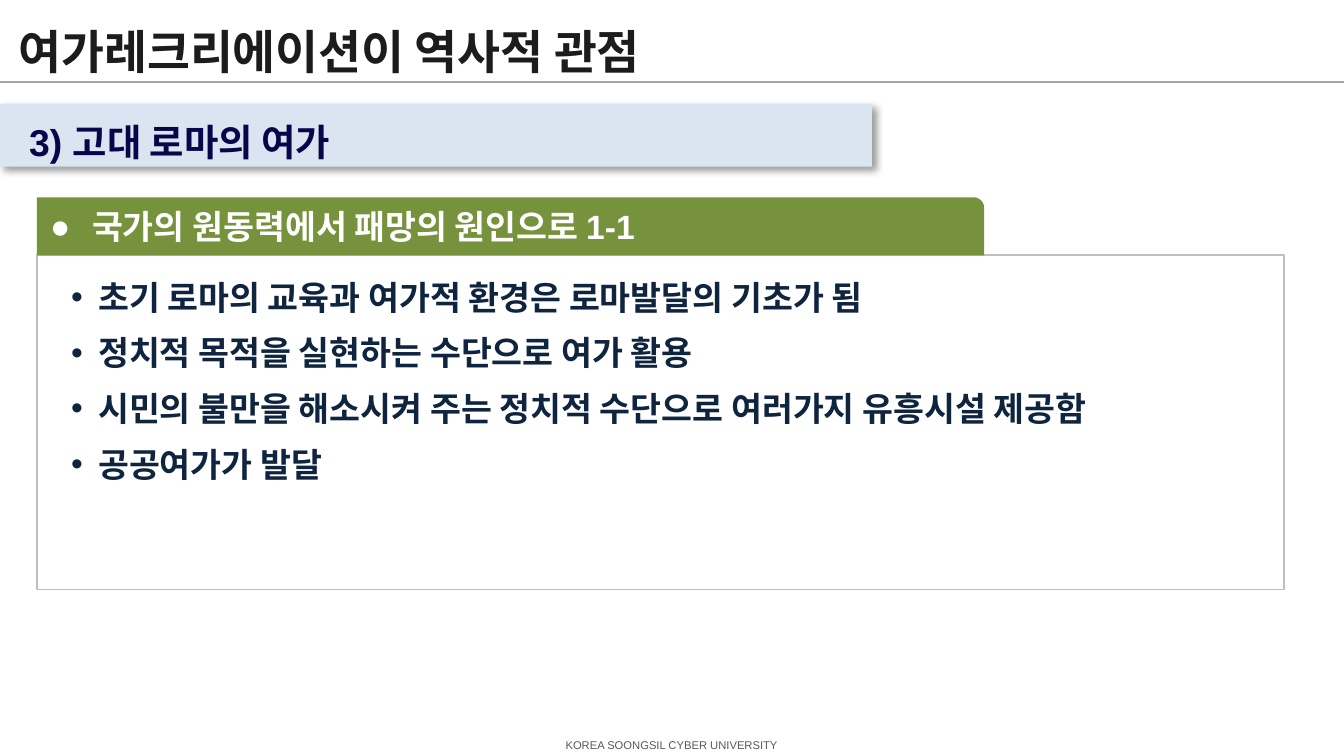
"""Build the slide on leisure in ancient Rome."""
from lxml.etree import SubElement
from pptx import Presentation
from pptx.dml.color import RGBColor
from pptx.enum.shapes import MSO_CONNECTOR, MSO_SHAPE
from pptx.enum.text import MSO_ANCHOR, MSO_AUTO_SIZE, PP_ALIGN
from pptx.oxml.ns import qn
from pptx.util import Cm, Pt

TITLE = "여가레크리에이션이 역사적 관점"
SECTION = "3) 고대 로마의 여가"
HEADING = "국가의 원동력에서 패망의 원인으로 1-1"
POINTS = [
    "초기 로마의 교육과 여가적 환경은 로마발달의 기초가 됨",
    "정치적 목적을 실현하는 수단으로 여가 활용",
    "시민의 불만을 해소시켜 주는 정치적 수단으로 여러가지 유흥시설 제공함",
    "공공여가가 발달",
]
FOOTER = "KOREA SOONGSIL CYBER UNIVERSITY"

THEME = {
    "font": "Arial",
    "colors": {
        "title": "1D1C1C", "section": "08054B", "band": "DAE5F1",
        "heading": "FFFFFF", "tab": "76923C", "body": "0F243E",
        "panel": "FFFFFF", "border": "BFBFBF", "rule": "A5A5A5",
        "footer": "595959", "shadow": "000000",
    },
    "sizes": {"title": 25, "section": 20, "heading": 18, "body": 18, "footer": 6},
}
SLIDE_WIDTH, SLIDE_HEIGHT = 25.4, 14.29
RULE_TOP = 1.55
BOXES = {
    "title": (0.1, 0.36, 21.21, 1.19),
    "band": (0, 1.96, 16.48, 1.19),
    "section": (0.3, 1.96, 15.9, 1.19),
    "panel": (0.7, 4.82, 23.57, 6.32),
    "tab": (0.7, 3.73, 17.9, 1.1),
    "body": (1.09, 5.03, 22.96, 4.29),
    "footer": (8.79, 13.84, 7.8, 0.51),
}


def color(name):
    return RGBColor.from_string(THEME["colors"][name])


def box(name):
    return [Cm(value) for value in BOXES[name]]


def add_box(slide, name, kind=MSO_SHAPE.RECTANGLE, border=None):
    shape = slide.shapes.add_shape(kind, *box(name))
    shape.shadow.inherit = False
    shape.fill.solid()
    shape.fill.fore_color.rgb = color(name)
    if border:
        shape.line.color.rgb = color(border)
        shape.line.width = Pt(0.75)
    else:
        shape.line.fill.background()
    return shape


def add_shadow(shape):
    effects = shape._element.spPr.find(qn("a:effectLst"))
    shadow = SubElement(effects, qn("a:outerShdw"), blurRad=str(Pt(4)),
                        dist=str(Pt(3)), dir=str(45 * 60000), algn="tl", rotWithShape="0")
    tint = SubElement(shadow, qn("a:srgbClr"), val=THEME["colors"]["shadow"])
    SubElement(tint, qn("a:alpha"), val="40000")


def add_bullet(paragraph, symbol, color_name, indent):
    properties = paragraph._p.get_or_add_pPr()
    properties.set("marL", str(Cm(indent)))
    properties.set("indent", str(-Cm(indent)))
    tint = SubElement(properties, qn("a:buClr"))
    SubElement(tint, qn("a:srgbClr"), val=THEME["colors"][color_name])
    SubElement(properties, qn("a:buFont"), typeface=THEME["font"])
    SubElement(properties, qn("a:buChar"), char=symbol)


def write(shape, lines, style, align=PP_ALIGN.LEFT, anchor=MSO_ANCHOR.TOP,
          bold=True, spacing=1.0, gap=0, bullet=None, indent=0):
    frame = shape.text_frame
    frame.word_wrap = True
    frame.auto_size = MSO_AUTO_SIZE.NONE
    frame.vertical_anchor = anchor
    frame.text = "\n".join(lines)
    for index, paragraph in enumerate(frame.paragraphs):
        paragraph.alignment = align
        paragraph.line_spacing = spacing
        paragraph.space_before = Pt(gap if index else 0)
        if bullet:
            add_bullet(paragraph, bullet, style, indent)
        font = paragraph.font
        font.name = THEME["font"]
        font.size = Pt(THEME["sizes"][style])
        font.bold = bold
        font.color.rgb = color(style)


def place(placeholder, name):
    placeholder.left, placeholder.top, placeholder.width, placeholder.height = box(name)


def main():
    presentation = Presentation()
    presentation.slide_width, presentation.slide_height = Cm(SLIDE_WIDTH), Cm(SLIDE_HEIGHT)
    slide = presentation.slides.add_slide(presentation.slide_layouts[1])
    title, body = slide.placeholders

    rule = slide.shapes.add_connector(MSO_CONNECTOR.STRAIGHT, 0, Cm(RULE_TOP),
                                      Cm(SLIDE_WIDTH), Cm(RULE_TOP))
    rule.line.color.rgb = color("rule")
    rule.line.width = Pt(0.75)
    SubElement(rule._element.spPr, qn("a:effectLst"))

    footer = slide.shapes.add_textbox(*box("footer"))
    write(footer, [FOOTER], "footer", align=PP_ALIGN.CENTER, bold=False)

    add_shadow(add_box(slide, "band"))
    section = slide.shapes.add_textbox(*box("section"))
    write(section, [SECTION], "section", spacing=1.2)

    place(title, "title")
    write(title, [TITLE], "title", anchor=MSO_ANCHOR.MIDDLE)

    panel = add_box(slide, "panel", border="border")
    place(body, "body")
    write(body, POINTS, "body", spacing=1.1, gap=6, bullet="•", indent=0.51)
    panel._element.addnext(body._element)

    tab = add_box(slide, "tab", MSO_SHAPE.ROUND_1_RECTANGLE)
    tab.adjustments[0] = 0.18
    write(tab, [HEADING], "heading", anchor=MSO_ANCHOR.MIDDLE, bullet="●", indent=0.79)

    presentation.save("out.pptx")


if __name__ == "__main__":
    main()
